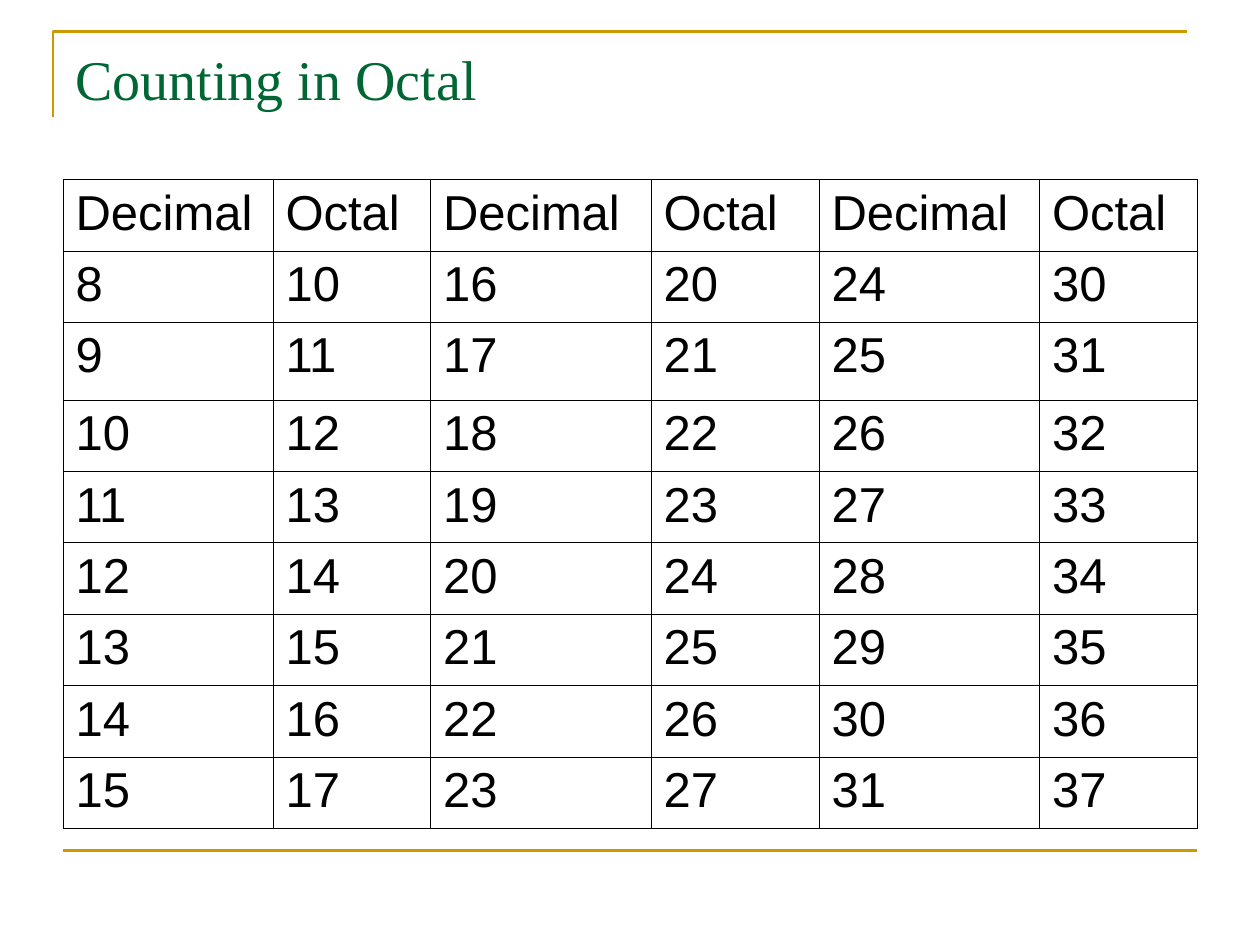
from typing import Any, NamedTuple

from lxml import etree
from pptx import Presentation
from pptx import util as u
from pptx.dml.color import RGBColor
from pptx.enum import shapes, text
from pptx.oxml import ns

HUES = {"gold": "CC9900", "green": "006633", "black": "000000"}
WIDE, HIGH = u.Inches(10), u.Inches(7.5)
COLS = (20, 15, 21, 16, 21, 15)
ROWS = (34, 34, 37, 34, 34, 34, 34, 34, 34)
COL, ROW = u.Inches(1 / 12), u.Inches(1 / 60)
HANG = u.Inches(0.38)
EDGE = u.Pt(0.45)


class Box(NamedTuple):
    left: float
    top: float
    width: float
    height: float

    def place(self) -> dict[str, int]:
        return {
            "left": int(self.left * WIDE),
            "top": int(self.top * HIGH),
            "width": int(self.width * WIDE),
            "height": int(self.height * HIGH),
        }


class Style(NamedTuple):
    name: str
    size: float
    hue: str


class Span(NamedTuple):
    first: int
    count: int = 8

    def lists(self) -> list[list[str]]:
        nums = range(self.first, self.first + self.count)
        return [["Decimal", *map(str, nums)], ["Octal", *(f"{n:o}" for n in nums)]]


HEAD = Style("Times New Roman", 32, "green")
BODY = Style("Arial", 28, "black")
SPANS = (Span(8), Span(16), Span(24))


def apply(item: Any, values: dict[str, Any]) -> None:
    for key, value in values.items():
        setattr(item, key, value)


def ink(font: Any, style: Style) -> None:
    apply(font, {"name": style.name, "size": u.Pt(style.size), "bold": False})
    font.color.rgb = RGBColor.from_string(HUES[style.hue])


def stroke(line: Any) -> None:
    line.color.rgb = RGBColor.from_string(HUES["gold"])
    line.width = u.Pt(1.5)


def corner(slide: Any, box: Box) -> None:
    spot = box.place()
    left, top = spot["left"], spot["top"]
    pen = slide.shapes.build_freeform(left, top + spot["height"])
    pen.add_line_segments([(left, top), (left + spot["width"], top)], close=False)
    shape = pen.convert_to_shape()
    shape.shadow.inherit = False
    shape.fill.background()
    stroke(shape.line)


def rule(slide: Any, box: Box) -> None:
    spot = box.place()
    right = spot["left"] + spot["width"]
    line = slide.shapes.add_connector(
        shapes.MSO_CONNECTOR.STRAIGHT, spot["left"], spot["top"], right, spot["top"]
    )
    stroke(line.line)
    etree.SubElement(line._element.spPr, ns.qn("a:effectLst"))


def title(slide: Any, words: str, box: Box) -> None:
    shape = slide.shapes.title
    apply(shape, box.place())
    frame = shape.text_frame
    apply(frame, {
        "text": words,
        "word_wrap": True,
        "auto_size": text.MSO_AUTO_SIZE.NONE,
        "vertical_anchor": text.MSO_ANCHOR.TOP,
    })
    para = frame.paragraphs[0]
    para.alignment = text.PP_ALIGN.LEFT
    ink(para.runs[0].font, HEAD)


def border(cell: Any) -> None:
    props = cell._tc.get_or_add_tcPr()
    for spot, side in enumerate(("lnL", "lnR", "lnT", "lnB")):
        line = etree.Element(ns.qn(f"a:{side}"), w=str(int(EDGE)))
        fill = etree.SubElement(line, ns.qn("a:solidFill"))
        etree.SubElement(fill, ns.qn("a:srgbClr"), val=HUES["black"])
        props.insert(spot, line)


def write(cell: Any, words: str) -> None:
    cell.text = words
    cell.fill.background()
    border(cell)
    para = cell.text_frame.paragraphs[0]
    para.alignment = text.PP_ALIGN.JUSTIFY
    props = para._p.get_or_add_pPr()
    for key, value in {"marL": HANG, "indent": -HANG}.items():
        props.set(key, str(int(value)))
    ink(para.runs[0].font, BODY)


def table(slide: Any, left: float, top: float) -> None:
    lists = [column for span in SPANS for column in span.lists()]
    grid = slide.shapes.add_table(
        len(ROWS), len(COLS), int(left * WIDE), int(top * HIGH),
        sum(COLS) * COL, sum(ROWS) * ROW,
    ).table
    apply(grid, {"first_row": False, "horz_banding": False})
    for column, share in zip(grid.columns, COLS):
        column.width = share * COL
    for row, share in zip(grid.rows, ROWS):
        row.height = share * ROW
    for c, column in enumerate(lists):
        for r, words in enumerate(column):
            write(grid.cell(r, c), words)


def main() -> None:
    deck = Presentation()
    apply(deck, {"slide_width": WIDE, "slide_height": HIGH})
    slide = deck.slides.add_slide(deck.slide_layouts.get_by_name("Title Only"))
    corner(slide, Box(0.042, 0.25 / 7.5, 0.9, 0.09))
    rule(slide, Box(0.05, 0.9, 0.9, 0))
    title(slide, "Counting in Octal", Box(0.05, 0.04, 0.9, 1 / 6))
    table(slide, 0.05, 0.19)
    deck.save("out.pptx")


if __name__ == "__main__":
    main()
